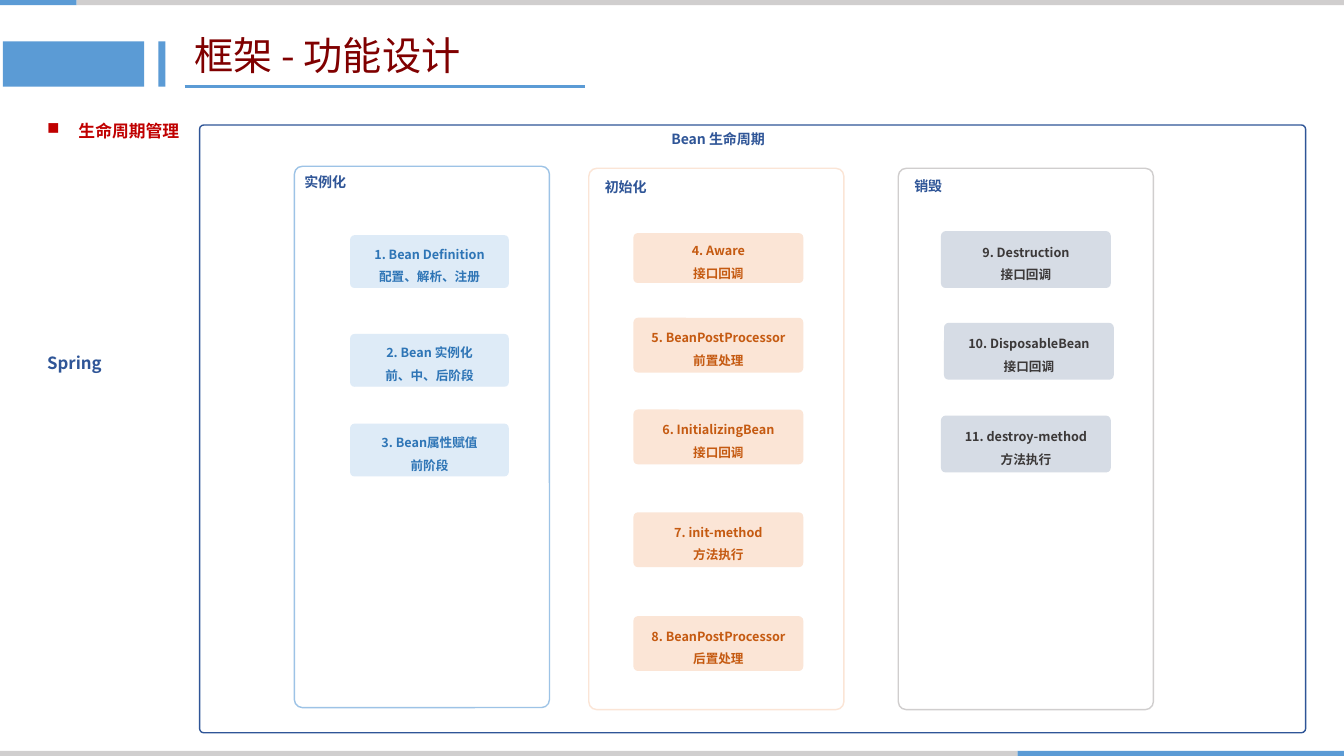
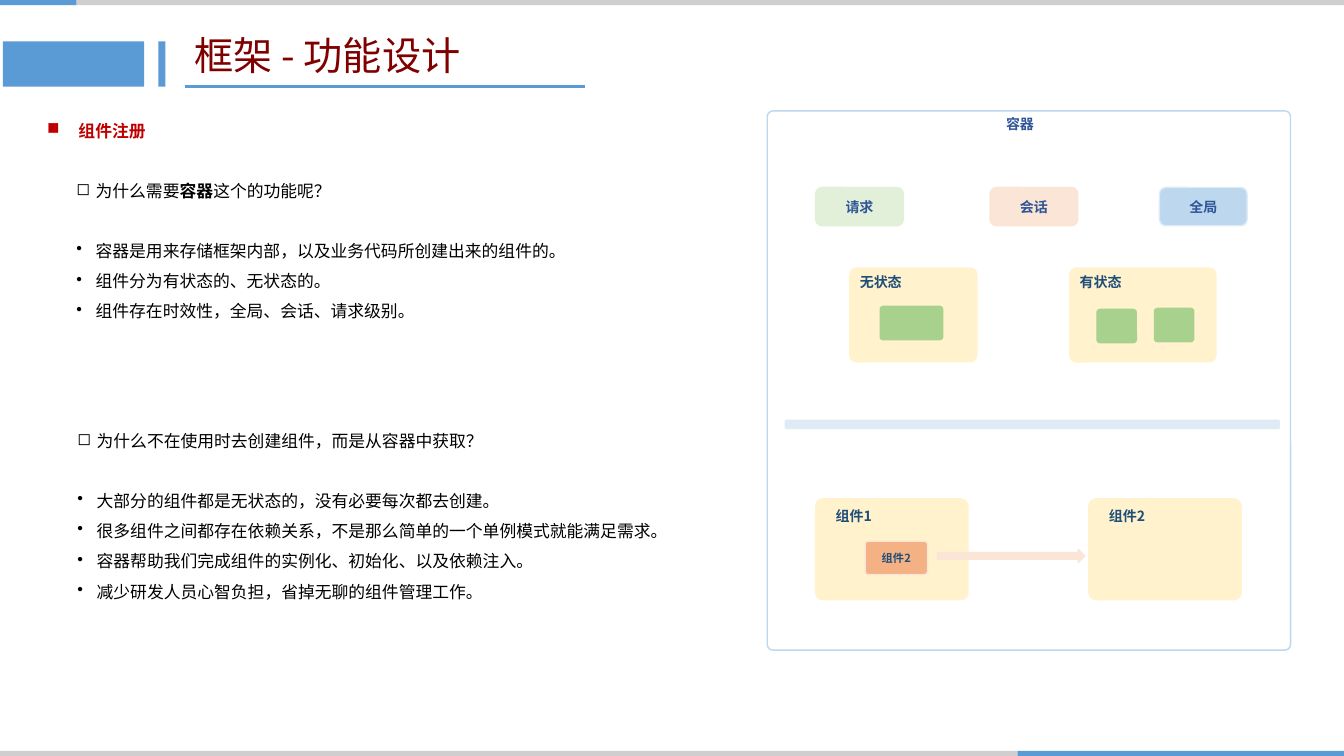
from lxml import etree
from pptx import Presentation
from pptx import util as u
from pptx.dml.color import RGBColor
from pptx.enum import shapes, text
from pptx.oxml.ns import qn

FONT = "Noto Sans CJK SC"
COLORS = {
    "white": "FFFFFF", "black": "000000", "blue": "5B9BD5", "gray": "D0CECE",
    "maroon": "800000", "red": "C00000", "navy": "2F5597", "deep": "1F4E79",
    "ocean": "2E75B6", "sky": "9DC3E6", "light": "BDD7EE", "ice": "DEEBF7",
    "rust": "C55A11", "orange": "F4B183", "peach": "FBE5D6",
    "coal": "3B3838", "slate": "D6DCE5", "cream": "FFF2CC",
    "leaf": "A9D18E", "mint": "E2F0D9",
}
RECT = shapes.MSO_SHAPE.RECTANGLE
ROUND = shapes.MSO_SHAPE.ROUNDED_RECTANGLE
ARROW = shapes.MSO_SHAPE.RIGHT_ARROW
CENTER = text.PP_ALIGN.CENTER
MIDDLE = text.MSO_ANCHOR.MIDDLE
TOP = text.MSO_ANCHOR.TOP

presentation = Presentation()
presentation.slide_width = u.Inches(13.33)
presentation.slide_height = u.Inches(7.5)

# Grid: 133.3 columns by 75 rows of square cells
COLUMNS, ROWS = 133.3, 75
COLUMN = presentation.slide_width / COLUMNS
ROW = presentation.slide_height / ROWS


def add_box(slide, place, kind=None, fill=None, line=None, corner=None):
    """Add a shape, or a text box when no kind is given, at grid cells."""
    left, top, width, height = place
    cells = [int(n) for n in (left * COLUMN, top * ROW, width * COLUMN, height * ROW)]
    if kind is None:
        return slide.shapes.add_textbox(*cells)
    shape = slide.shapes.add_shape(kind, *cells)
    shape.shadow.inherit = False
    shape.fill.solid()
    shape.fill.fore_color.rgb = RGBColor.from_string(COLORS[fill])
    if line:
        shape.line.color.rgb = RGBColor.from_string(COLORS[line])
        shape.line.width = u.Pt(1)
    else:
        shape.line.fill.background()
    if corner is not None:
        shape.adjustments[0] = corner
    return shape


def write(shape, lines, size, color, bold=True, align=None, anchor=TOP,
          spacing=None, bullets="", indent=0):
    """Fill a shape with paragraphs; ** switches bold on and off."""
    frame = shape.text_frame
    frame.word_wrap = True
    frame.vertical_anchor = anchor
    for index, content in enumerate(lines):
        paragraph = frame.add_paragraph() if index else frame.paragraphs[0]
        parts = content.split("**")
        paragraph.text = parts[0]
        for part in parts[1:]:
            paragraph.add_run().text = part
        paragraph.alignment = align
        paragraph.line_spacing = spacing
        if bullets:
            properties = paragraph._p.get_or_add_pPr()
            properties.set("marL", str(u.Inches(indent)))
            properties.set("indent", str(-u.Inches(indent)))
            bullet = etree.SubElement(properties, qn("a:buChar"))
            bullet.set("char", bullets[min(index, len(bullets) - 1)])
        for number, run in enumerate(paragraph.runs):
            run.font.name = FONT
            run.font.size = u.Pt(size)
            run.font.bold = bold or number % 2 == 1
            run.font.color.rgb = RGBColor.from_string(COLORS[color])
            east_asian = etree.SubElement(run._r.get_or_add_rPr(), qn("a:ea"))
            east_asian.set("typeface", FONT)


# Shared frame: edge bands, title and section heading
slides = []
for heading in ("生命周期管理", "组件注册"):
    slide = presentation.slides.add_slide(presentation.slide_layouts[6])
    slides.append(slide)
    for place, color in (
        ((100.9, 74.5, 32.4, 0.5), "blue"),
        ((0, 74.5, 100.9, 0.5), "gray"),
        ((0, 0, 7.6, 0.5), "blue"),
        ((7.6, 0, 125.7, 0.5), "gray"),
        ((0.3, 4.1, 14, 4.5), "blue"),
        ((15.7, 4.1, 0.7, 4.5), "blue"),
    ):
        add_box(slide, place, RECT, color)
    title = add_box(slide, (18.3, 2.8, 40.7, 5.8))
    write(title, ["框架 - 功能设计"], 28, "maroon", bold=False, anchor=MIDDLE, spacing=0.9)
    underline = slide.shapes.add_connector(
        shapes.MSO_CONNECTOR.STRAIGHT, int(18.3 * COLUMN), int(8.6 * ROW),
        int(58 * COLUMN), int(8.6 * ROW))
    underline.line.color.rgb = RGBColor.from_string(COLORS["blue"])
    underline.line.width = u.Pt(2.25)
    etree.SubElement(underline._element.spPr, qn("a:effectLst"))
    section = add_box(slide, (3.7, 10.5, 23.8, 4))
    write(section, [heading], 12, "red", spacing=1.5, bullets="■", indent=0.31)

lifecycle, registration = slides

# Lifecycle: outer frame
add_box(lifecycle, (19.8, 12.4, 109.7, 60.3), ROUND, "white", "navy", 0.007)
write(add_box(lifecycle, (65.6, 12.4, 13.7, 2.7)), ["Bean 生命周期"], 10, "navy", anchor=MIDDLE)
write(add_box(lifecycle, (3.7, 34.5, 9.6, 3)), ["Spring"], 12, "navy")

# Lifecycle: phases, each with steps as left, top, height, name, detail
phases = [
    ("实例化", (29.2, 16.5), (29.2, 16.7), "sky", "ice", "ocean", 15.6, [
        (34.8, 23.4, 5.1, "1. Bean Definition", "配置、解析、注册"),
        (34.8, 33.2, 5.1, "2. Bean 实例化", "前、中、后阶段"),
        (34.8, 42.1, 5.1, "3. Bean属性赋值", "前阶段"),
    ]),
    ("初始化", (58.4, 16.7), (59, 17.2), "peach", "peach", "rust", 16.7, [
        (62.9, 23.2, 4.8, "4. Aware", "接口回调"),
        (62.9, 31.6, 5.3, "5. BeanPostProcessor", "前置处理"),
        (62.9, 40.7, 5.3, "6. InitializingBean", "接口回调"),
        (62.9, 50.9, 5.3, "7. init-method", "方法执行"),
        (62.9, 61.2, 5.3, "8. BeanPostProcessor", "后置处理"),
    ]),
    ("销毁", (89.1, 16.7), (89.7, 17.1), "gray", "slate", "coal", 16.7, [
        (93.4, 23, 5.5, "9. Destruction", "接口回调"),
        (93.7, 32.1, 5.5, "10. DisposableBean", "接口回调"),
        (93.4, 41.3, 5.5, "11. destroy-method", "方法执行"),
    ]),
]
for phase, corner, label, border, fill, ink, width, steps in phases:
    add_box(lifecycle, (*corner, 25.3, 53.7), ROUND, "white", border, 0.031)
    write(add_box(lifecycle, (*label, 9, 2.7)), [phase], 10, "navy")
    for left, top, height, name, detail in steps:
        step = add_box(lifecycle, (left, top, width, height), ROUND, fill, fill, 0.072)
        write(step, [name, detail], 9, ink, align=CENTER, anchor=MIDDLE, spacing=1.5)

# Registration: questions and answers
for place, lines in (
    ((6.6, 16.4, 57.2, 16.1), [
        "为什么需要**容器**这个的功能呢？",
        "容器是用来存储框架内部，以及业务代码所创建出来的组件的。",
        "组件分为有状态的、无状态的。",
        "组件存在时效性，全局、会话、请求级别。",
    ]),
    ((6.7, 41.2, 63.1, 19.2), [
        "为什么不在使用时去创建组件，而是从容器中获取？",
        "大部分的组件都是无状态的，没有必要每次都去创建。",
        "很多组件之间都存在依赖关系，不是那么简单的一个单例模式就能满足需求。",
        "容器帮助我们完成组件的实例化、初始化、以及依赖注入。",
        "减少研发人员心智负担，省掉无聊的组件管理工作。",
    ]),
):
    answer = add_box(registration, place)
    write(answer, lines, 12, "black", bold=False, spacing=1.5, bullets="◻•", indent=0.19)
    answer.text_frame.paragraphs[0].space_after = u.Pt(21.5)

# Registration: container and its scopes
add_box(registration, (76.1, 11, 51.9, 53.5), ROUND, "white", "light", 0.011)
write(add_box(registration, (98.8, 11, 7.4, 2.7)), ["容器"], 10, "navy")
for left, scope, fill, border in (
    (80.9, "请求", "mint", "mint"),
    (98.2, "会话", "peach", "peach"),
    (115, "全局", "light", "ice"),
):
    badge = add_box(registration, (left, 18.6, 8.7, 3.8), ROUND, fill, border)
    write(badge, [scope], 10, "navy", align=CENTER, anchor=MIDDLE)
add_box(registration, (77.9, 41.7, 49, 0.8), ROUND, "ice", "ice")

# Registration: component cards with their labels
for name, place, label in (
    ("无状态", (84.3, 26.6, 12.6, 9.3), (84.3, 26.6)),
    ("有状态", (106.1, 26.6, 14.5, 9.3), (106.1, 26.6)),
    ("组件1", (80.9, 49.5, 15.1, 10), (81.9, 49.9)),
    ("组件2", (108, 49.5, 15.1, 10), (109, 49.9)),
):
    add_box(registration, place, ROUND, "cream", "cream", 0.072)
    write(add_box(registration, (*label, 7.7, 2.7)), [name], 10, "deep")

# Registration: instances and the injected dependency
for left, top, width in ((87.3, 30.4, 6.2), (108.8, 30.7, 3.9), (114.5, 30.6, 3.9)):
    add_box(registration, (left, top, width, 3.3), ROUND, "leaf", "leaf", 0.092)
dependency = add_box(registration, (85.8, 53.7, 6.2, 3.3), ROUND, "orange", "peach", 0.092)
write(dependency, ["组件2"], 8, "deep", align=CENTER, anchor=MIDDLE)
add_box(registration, (93, 54.5, 14.6, 1.3), ARROW, "peach", "peach")

presentation.save("out.pptx")
